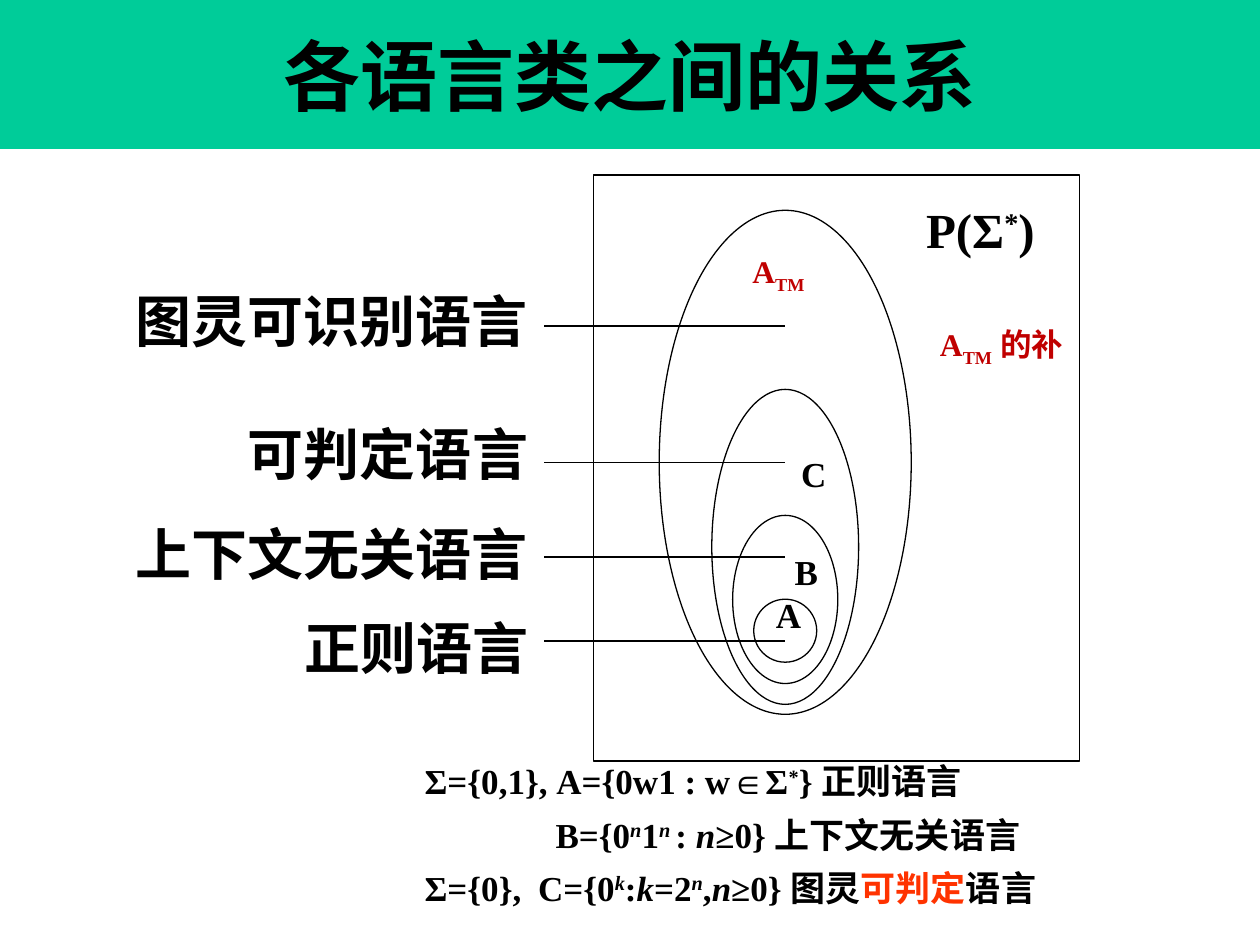
from lxml.etree import SubElement
from pptx import Presentation
from pptx.dml.color import RGBColor
from pptx.enum.shapes import MSO_CONNECTOR, MSO_SHAPE
from pptx.enum.text import MSO_ANCHOR, PP_ALIGN
from pptx.oxml.ns import qn
from pptx.util import Cm, Pt

COLORS = {"band": "00CC99", "ink": "000000", "example": "C00000", "accent": "FF3300"}
FONT = "Times New Roman"
SUP, SUB = 30000, -25000


def add_runs(paragraph, parts, size, color="ink"):
    """Each part is (text, options); options: baseline, italic, color."""
    for text, options in parts:
        run = paragraph.add_run()
        run.text = text
        run.font.name = FONT
        run.font.size = Pt(size)
        run.font.bold = True
        run.font.italic = options.get("italic", False)
        run.font.color.rgb = RGBColor.from_string(COLORS[options.get("color", color)])
        if "baseline" in options:
            run._r.get_or_add_rPr().set("baseline", str(options["baseline"]))


def add_label(left, top, width, height, wrap=False):
    box = slide.shapes.add_textbox(Cm(left), Cm(top), Cm(width), Cm(height))
    box.text_frame.word_wrap = wrap
    return box.text_frame


prs = Presentation()
prs.slide_width, prs.slide_height = Cm(25.4), Cm(19.05)
slide = prs.slides.add_slide(prs.slide_layouts[5])

# Title band
title = slide.shapes.title
title.left, title.top, title.width, title.height = Cm(0), Cm(0), Cm(25.4), Cm(3)
title.fill.solid()
title.fill.fore_color.rgb = RGBColor.from_string(COLORS["band"])
title.text_frame.vertical_anchor = MSO_ANCHOR.MIDDLE
title.text_frame.paragraphs[0].alignment = PP_ALIGN.CENTER
add_runs(title.text_frame.paragraphs[0], [("各语言类之间的关系", {})], 44)

# Universe rectangle and nested language classes, all on one vertical axis
axis = 15.83
outlines = [(MSO_SHAPE.RECTANGLE, 11.96, 3.53, 9.8, 11.81)]
for width, top, height in [(5.08, 4.24, 10.16), (2.96, 7.85, 6.35),
                           (2.12, 10.39, 3.39), (1.27, 12.08, 1.27)]:
    outlines.append((MSO_SHAPE.OVAL, axis - width / 2, top, width, height))
for kind, left, top, width, height in outlines:
    outline = slide.shapes.add_shape(kind, Cm(left), Cm(top), Cm(width), Cm(height))
    outline.shadow.inherit = False
    outline.fill.background()
    outline.line.color.rgb = RGBColor.from_string(COLORS["ink"])
    outline.line.width = Pt(0.75)

# Class names with leader lines into the diagram
for name, label_top, leader_y in [("图灵可识别语言", 5.66, 6.57), ("可判定语言", 8.33, 9.32),
                                  ("上下文无关语言", 10.34, 11.23), ("正则语言", 12.24, 12.92)]:
    class_name = add_label(1.5, label_top, 9.4, 1.6, wrap=True).paragraphs[0]
    class_name.alignment = PP_ALIGN.RIGHT
    add_runs(class_name, [(name, {})], 32)
    leader = slide.shapes.add_connector(
        MSO_CONNECTOR.STRAIGHT, Cm(10.97), Cm(leader_y), Cm(axis), Cm(leader_y))
    leader.line.color.rgb = RGBColor.from_string(COLORS["ink"])
    leader.line.width = Pt(0.75)
    SubElement(leader._element.spPr, qn("a:effectLst"))

# Labels inside the diagram
a_tm = [("A", {}), ("TM", {"baseline": SUB})]
for parts, left, top, width, height, size, color in [
    ([("P(Σ", {}), ("*", {"baseline": SUP}), (")", {})], 18.42, 3.89, 2.69, 1.45, 28, "ink"),
    ([("A", {})], 15.39, 11.84, 1.04, 1.12, 20, "ink"),
    ([("B", {})], 15.77, 10.97, 0.99, 1.12, 20, "ink"),
    ([("C", {})], 15.9, 8.99, 1.04, 1.12, 20, "ink"),
    (a_tm + [(" 的补", {})], 18.7, 6.43, 3.05, 1.02, 18, "example"),
    (a_tm, 14.92, 4.95, 1.75, 1.02, 18, "example"),
]:
    add_runs(add_label(left, top, width, height).paragraphs[0], parts, size, color)

# Example languages
power = {"italic": True, "baseline": SUP}
italic = {"italic": True}
examples = [
    [("Σ={0,1}, A={0w1 : w∈Σ", {}), ("*", {"baseline": SUP}), ("} 正则语言", {})],
    [("B={0", {}), ("n", power), ("1", {}), ("n ", power), (": ", {}),
     ("n", italic), ("≥0} 上下文无关语言", {})],
    [("Σ={0},\tC={0", {}), ("k", power), (":", {}), ("k", italic), ("=2", {}),
     ("n", power), (",", {}), ("n", italic), ("≥0} 图灵", {}),
     ("可判定", {"color": "accent"}), ("语言", {})],
]
indents = [0, 2.64, 0]
example_frame = add_label(8.31, 15.11, 13.21, 3.43, wrap=True)
for row, (parts, indent) in enumerate(zip(examples, indents)):
    example = example_frame.add_paragraph() if row else example_frame.paragraphs[0]
    properties = example._p.get_or_add_pPr()
    properties.set("marL", str(Cm(indent)))
    tabs = SubElement(properties, qn("a:tabLst"))
    SubElement(tabs, qn("a:tab"), pos=str(Cm(2.29)), algn="l")
    example.line_spacing = 1.1
    example.space_after = Pt(2)
    if row:
        example.space_before = Pt(2)
    add_runs(example, parts, 20)

prs.save("out.pptx")
